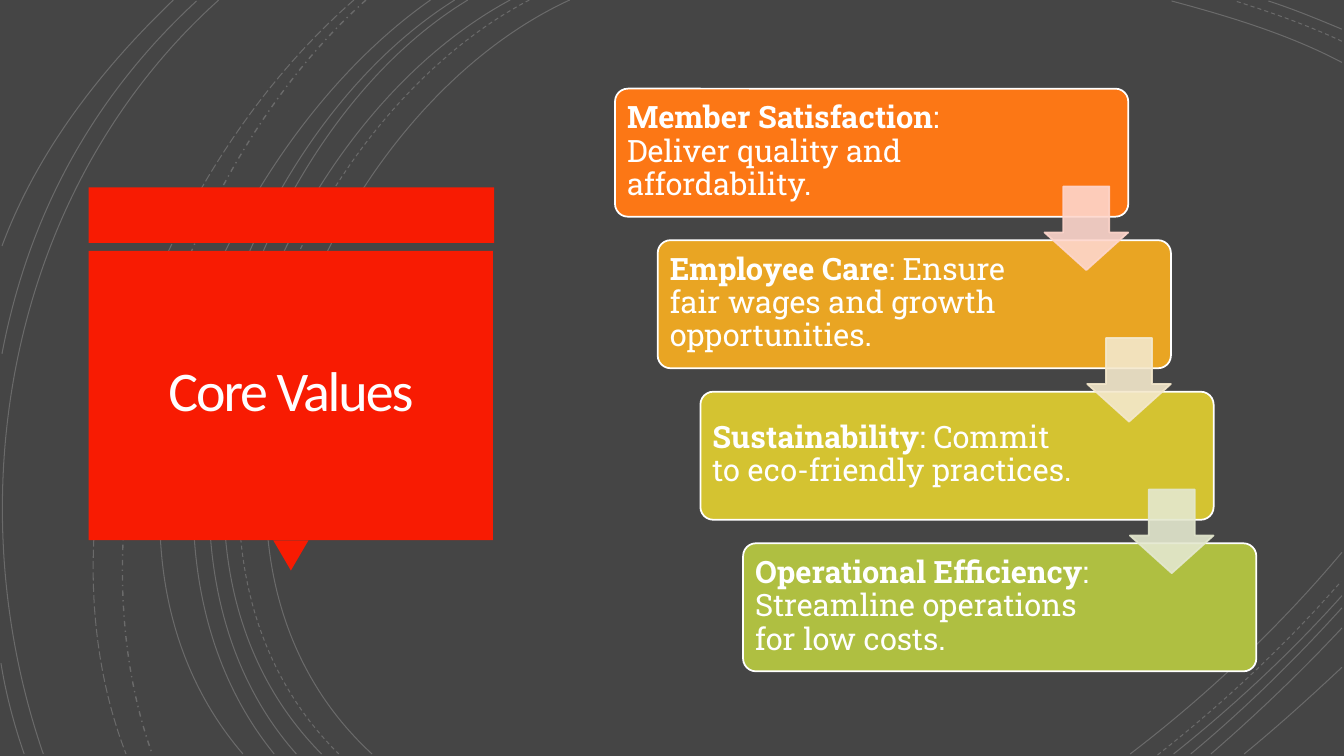
import pptx
import pptx.util
import pptx.dml.color
import pptx.enum.dml
import pptx.enum.shapes
import pptx.enum.text
import pptx.oxml
import pptx.oxml.ns
import lxml.etree

Inches = pptx.util.Inches
Pt = pptx.util.Pt
qn = pptx.oxml.ns.qn
FORM = pptx.enum.shapes.MSO_SHAPE
DASH = pptx.enum.dml.MSO_LINE
ALIGN = pptx.enum.text.PP_ALIGN

ARCS = [
    ((5.65, 0), (3.15, 1.15), (1.43, 5.4), (3.69, 7.48), "solid"),
    ((13.31, 0.62), (12.78, 0.34), (12.18, 0.16), (11.62, 0.01), "solid"),
    ((11.21, 7.48), (11.97, 6.9), (12.69, 6.22), (13.31, 5.48), "solid"),
    ((5.25, 0), (2.85, 1.25), (1.23, 5.37), (3.36, 7.48), "dash"),
    ((13.31, 0.41), (12.97, 0.25), (12.6, 0.12), (12.25, 0.01), "dash"),
    ((11.48, 7.49), (12.13, 6.98), (12.75, 6.4), (13.3, 5.77), "dash"),
    ((5.06, 0), (2.7, 1.27), (1.1, 5.37), (3.19, 7.48), "solid"),
    ((13.31, 0.29), (13.07, 0.19), (12.83, 0.09), (12.58, 0.01), "solid"),
    ((11.64, 7.48), (12.23, 7.01), (12.8, 6.48), (13.31, 5.91), "solid"),
    ((4.64, 0), (2.44, 1.33), (1.1, 5.41), (2.94, 7.48), "solid"),
    ((11.81, 7.48), (12.34, 7.04), (12.84, 6.55), (13.31, 6.03), "solid"),
    ((4.51, 0), (2.31, 1.38), (0.97, 5.33), (2.72, 7.48), "solid"),
    ((12.01, 7.48), (12.46, 7.09), (12.9, 6.67), (13.31, 6.23), "solid"),
    ((4.27, 0), (2.17, 1.47), (0.53, 5.29), (2.41, 7.48), "solid"),
    ((12.34, 7.48), (12.67, 7.21), (12.99, 6.92), (13.31, 6.62), "solid"),
    ((3.63, 0), (1.76, 1.66), (0.65, 5.09), (1.51, 7.48), "dot"),
    ((3.51, 0), (1.57, 1.69), (0.29, 4.99), (1.25, 7.48), "long"),
    ((2.17, 0), (0.11, 1.85), (-0.46, 4.9), (0.43, 7.48), "solid"),
    ((1.95, 0.01), (0.92, 0.96), (0.28, 2.14), (0.02, 3.51), "solid"),
    ((0.01, 6.58), (0.06, 6.89), (0.14, 7.19), (0.24, 7.48), "solid"),
    ((1.72, 0), (1, 0.69), (0.37, 1.5), (0.02, 2.44), "solid"),
]
STYLES = {"solid": DASH.SOLID, "dash": DASH.DASH,
          "dot": DASH.DASH_DOT, "long": DASH.LONG_DASH}

VALUES = [
    ("Member Satisfaction", ": Deliver quality and affordability.", "FC7715", 3.61),
    ("Employee Care", ": Ensure fair wages and growth opportunities.", "E9A523", 3.77),
    ("Sustainability", ": Commit to eco-friendly practices.", "D4C331", 3.77),
    ("Operational Efficiency", ": Streamline operations for low costs.", "AFBF41", 3.77),
]
ARROWS = ["FED6CC", "F4E8CC", "E4E8CF"]


def paint(fill, color, alpha=100):
    fill.solid()
    fill.fore_color.rgb = pptx.dml.color.RGBColor.from_string(color)
    if alpha < 100:
        tone = fill._xPr.find(".//" + qn("a:srgbClr"))
        lxml.etree.SubElement(tone, qn("a:alpha"), val=str(alpha * 1000))


def place(slide, form, box, color, line=None, alpha=100):
    shape = slide.shapes.add_shape(form, *map(Inches, box))
    shape.shadow.inherit = False
    paint(shape.fill, color, alpha)
    if line:
        paint(shape.line.fill, line, alpha)
        shape.line.width = Pt(1.25)
    else:
        shape.line.fill.background()
    return shape


def setup(frame, inset):
    frame.word_wrap = True
    frame.auto_size = pptx.enum.text.MSO_AUTO_SIZE.NONE
    frame.vertical_anchor = pptx.enum.text.MSO_ANCHOR.MIDDLE
    frame.margin_left = frame.margin_right = Inches(inset)
    frame.margin_top = frame.margin_bottom = Inches(inset)
    return frame.paragraphs[0]


def write(para, text, size, face, color, bold=False):
    run = para.add_run()
    run.text = text
    run.font.size = Pt(size)
    run.font.name = face
    run.font.bold = bold
    paint(run.font.fill, color)
    return run


def bend(shape):
    track = shape._element.find(".//" + qn("a:path"))
    legs = track.findall(qn("a:lnTo"))
    curve = lxml.etree.SubElement(track, qn("a:cubicBezTo"))
    for leg in legs:
        curve.append(leg[0])
        track.remove(leg)


def draw_arcs(slide, box):
    left, top = box[:2]
    for *points, style in ARCS:
        start, *rest = [(Inches(left + x), Inches(top + y)) for x, y in points]
        pen = slide.shapes.build_freeform(*start)
        pen.add_line_segments(rest, close=False)
        arc = pen.convert_to_shape()
        bend(arc)
        arc.shadow.inherit = False
        arc.fill.background()
        paint(arc.line.fill, "FFFFFF", 20)
        arc.line.width = Pt(1 if style == "dot" else 0.75)
        arc.line.dash_style = STYLES[style]


def draw_title(slide, box):
    left, top, width, height = box
    red = "F81B02"
    place(slide, FORM.RECTANGLE, (left, top, width, 0.55), red)
    tip = place(slide, FORM.ISOSCELES_TRIANGLE,
                (left + 1.83, top + height - 0.3, 0.35, 0.3), red)
    tip.rotation = 180
    place(slide, FORM.RECTANGLE, (left, top + 0.63, width - 0.01, 2.87), red)
    title = slide.shapes.title
    title.left, title.top = Inches(left + 0.09), Inches(top + 0.71)
    title.width, title.height = Inches(width - 0.19), Inches(2.69)
    para = setup(title.text_frame, 0.25)
    para.alignment = ALIGN.CENTER
    para.line_spacing = 0.85
    run = write(para, "Core Values", 40, "Calibri", "FFFEFF")
    run.font._element.set("spc", "-150")
    slide.shapes._spTree.append(title._element)


def draw_steps(slide, box):
    left, top, width, height = box
    wide, high, side = 5.09, 1.27, 0.83
    gaps = len(VALUES) - 1
    spots = [(left + i * (width - wide) / gaps, top + i * (height - high) / gaps)
             for i in range(len(VALUES))]
    for (x, y), (name, text, color, span) in zip(spots, VALUES):
        card = place(slide, FORM.ROUNDED_RECTANGLE, (x, y, wide, high), color, "FFFFFF")
        card.adjustments[0] = 0.1
        label = slide.shapes.add_textbox(*map(Inches, (x + 0.03, y + 0.03, span, 1.2)))
        para = setup(label.text_frame, 0.09)
        para.alignment = ALIGN.LEFT
        para.line_spacing = 0.9
        write(para, name, 22, "Roboto Slab", "FFFFFF", True)
        write(para, text, 22, "Roboto Slab", "FFFFFF")
    for (x, y), color in zip(spots, ARROWS):
        spot = (x + wide - side, y + 0.97, side, side)
        arrow = place(slide, FORM.DOWN_ARROW, spot, color, color, 90)
        arrow.adjustments[0] = 0.55
        arrow.adjustments[1] = 0.45


def main():
    deck = pptx.Presentation()
    deck.slide_width, deck.slide_height = Inches(13.33), Inches(7.5)
    slide = deck.slides.add_slide(deck.slide_layouts[5])
    paint(slide.background.fill, "454545")
    draw_arcs(slide, (0, 0, 13.33, 7.5))
    draw_title(slide, (0.88, 1.86, 4.02, 3.8))
    draw_steps(slide, (6.1, 0.88, 6.36, 5.78))
    deck.save("out.pptx")


if __name__ == "__main__":
    main()
